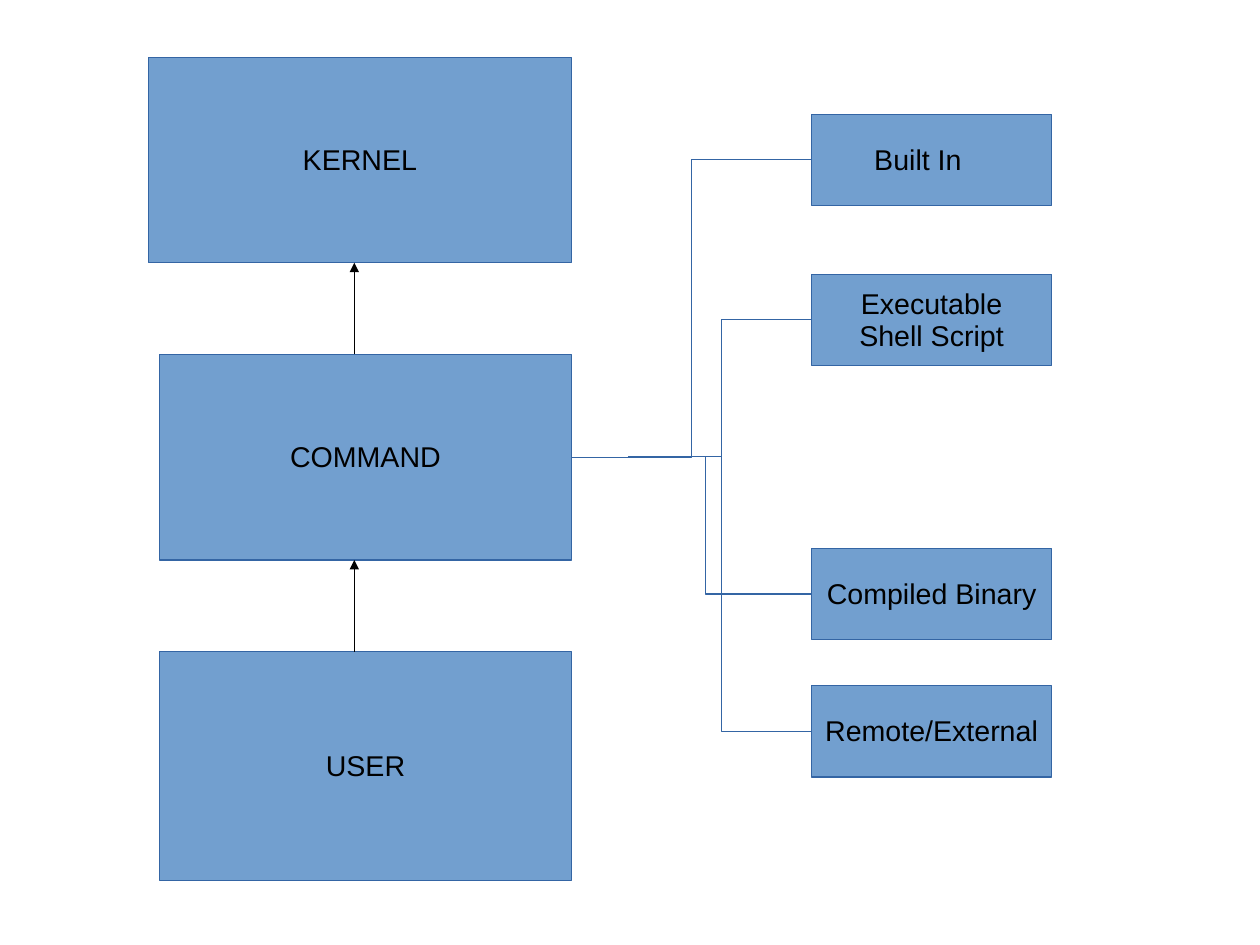
from lxml import etree
from pptx import Presentation
from pptx.dml.color import RGBColor
from pptx.enum.shapes import MSO_CONNECTOR, MSO_SHAPE
from pptx.enum.text import MSO_ANCHOR, PP_ALIGN
from pptx.oxml.ns import qn
from pptx.util import Pt

RECT = MSO_SHAPE.RECTANGLE
STRAIGHT, ELBOW = MSO_CONNECTOR.STRAIGHT, MSO_CONNECTOR.ELBOW
MIDDLE, CENTER = MSO_ANCHOR.MIDDLE, PP_ALIGN.CENTER
RIGHT_SIDE, LEFT_SIDE = 3, 1
EMU_PER_PX = 3175
FILL, EDGE, BLACK = "729FCF", "3465A4", "000000"
LAYER_H, LAYER_STEP, TYPE_H = 518, 749, 230


def px(n):
    """Turn whole px into EMU."""
    return n * EMU_PER_PX


def color(hex_code):
    """Return the colour of a hex string."""
    return RGBColor.from_string(hex_code)


def add_box(slide, label, box, right_inset=29):
    """Draw a labelled blue rectangle."""
    sp = slide.shapes.add_shape(RECT, *map(px, box))
    sp.shadow.inherit = False
    sp.fill.solid()
    sp.fill.fore_color.rgb = color(FILL)
    sp.line.color.rgb = color(EDGE)
    sp.line.width = Pt(0.75)
    tf = sp.text_frame
    tf.word_wrap = False
    tf.vertical_anchor = MIDDLE
    tf.margin_left, tf.margin_right = px(29), px(right_inset)
    tf.margin_top, tf.margin_bottom = px(19), px(14)
    tf.text = label
    for p in tf.paragraphs:
        p.alignment = CENTER
        p.line_spacing = 0.93
        for r in p.runs:
            r.font.name = "Arial"
            r.font.size = Pt(18)
            r.font.color.rgb = color(BLACK)
    return sp


def add_line(slide, kind, start, end, line_color):
    """Draw a thin connector without a shadow."""
    cxn = slide.shapes.add_connector(kind, *map(px, start + end))
    cxn.line.color.rgb = color(line_color)
    cxn.line.width = Pt(0.75)
    etree.SubElement(cxn._element.spPr, qn("a:effectLst"))
    return cxn


def add_arrow(slide, x, bottom, top):
    """Draw an upward arrow."""
    cxn = add_line(slide, STRAIGHT, (x, bottom), (x, top), BLACK)
    etree.SubElement(cxn.line._get_or_add_ln(), qn("a:tailEnd"), type="triangle")


def add_branch(slide, start, end, bend_x):
    """Draw an elbow connector that turns at bend_x."""
    cxn = add_line(slide, ELBOW, start, end, EDGE)
    geom = cxn._element.spPr.find(qn("a:prstGeom"))
    av = geom.find(qn("a:avLst"))
    if av is None:
        av = etree.SubElement(geom, qn("a:avLst"))
    ratio = round((bend_x - start[0]) / (end[0] - start[0]) * 100000)
    etree.SubElement(av, qn("a:gd"), name="adj1", fmla=f"val {ratio}")
    return cxn


def add_layers(slide, box):
    """Stack the kernel, command and user boxes; return the command box."""
    x, y, w, h = box
    command_y, user_y = y + LAYER_STEP, y + 2 * LAYER_STEP
    inner_x, inner_w = x + 28, w - 28
    add_box(slide, "KERNEL", (x, y, w, LAYER_H))
    command = add_box(slide, "COMMAND", (inner_x, command_y, inner_w, LAYER_H))
    add_box(slide, "USER", (inner_x, user_y, inner_w, y + h - user_y))
    for bottom in (command_y, user_y):
        add_arrow(slide, x + 519, bottom, bottom - LAYER_STEP + LAYER_H)
    return command


def add_command_types(slide, box, command):
    """List the command types and branch to each from the command box."""
    x, y, w, h = box
    types = [
        ("Built In", 0, 98, (1440, 1152), 1742),
        ("Executable\nShell Script", 403, 29, (1664, 1151), 1818),
        ("Compiled Binary", 1094, 29, (1582, 1150), 1777),
        ("Remote/External", h - TYPE_H, 29, (1664, 1151), 1818),
    ]
    for i, (label, dy, inset, start, bend_x) in enumerate(types):
        sp = add_box(slide, label, (x, y + dy, w, TYPE_H), inset)
        cxn = add_branch(slide, start, (x, y + dy + TYPE_H // 2), bend_x)
        cxn.end_connect(sp, LEFT_SIDE)
        if i == 0:
            cxn.begin_connect(command, RIGHT_SIDE)


def main():
    """Build the slide and save it."""
    prs = Presentation()
    prs.slide_width, prs.slide_height = px(3175), px(2381)
    slide = prs.slides.add_slide(prs.slide_layouts[6])
    command = add_layers(slide, (374, 144, 1066, 2074))
    add_command_types(slide, (2045, 288, 605, 1670), command)
    prs.save("out.pptx")


if __name__ == "__main__":
    main()
